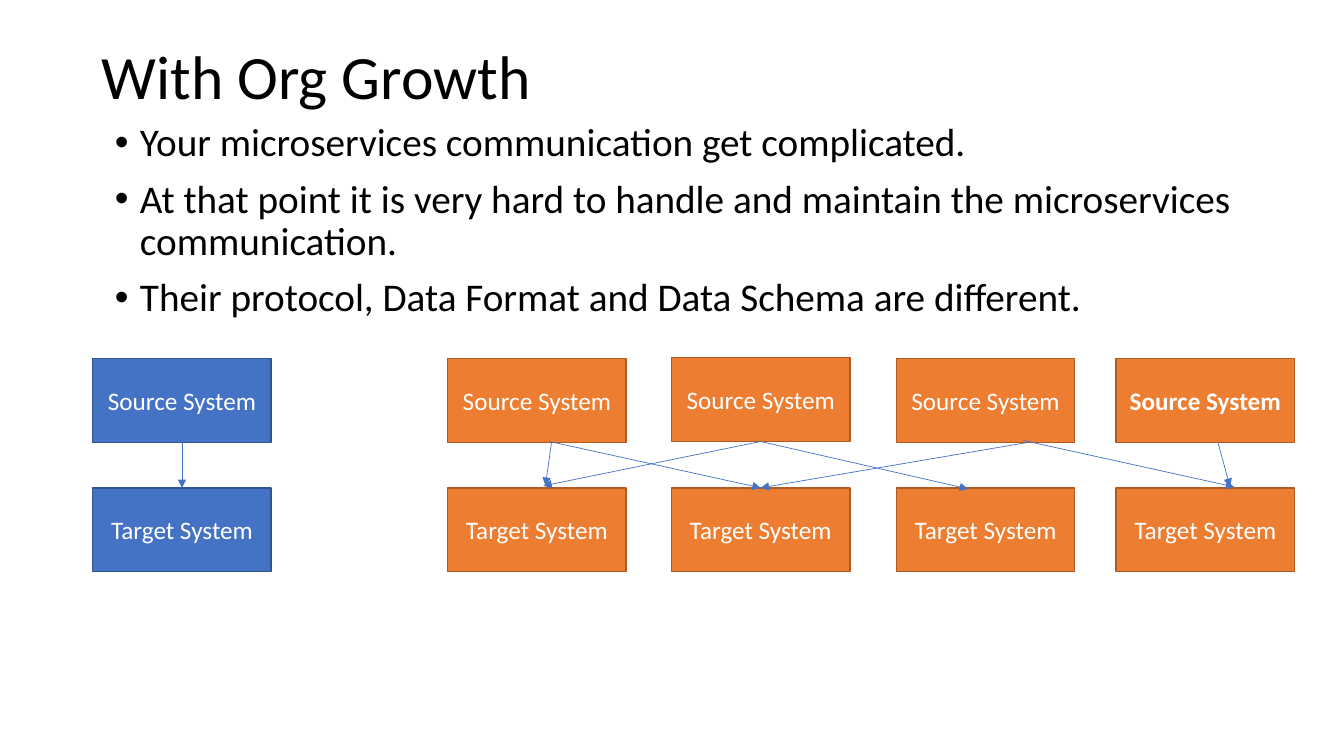
"""Build the slide on how microservice links grow with an organisation."""
from lxml import etree
from pptx import Presentation
from pptx.dml.color import RGBColor
from pptx.enum.shapes import MSO_CONNECTOR, MSO_SHAPE
from pptx.enum.text import MSO_ANCHOR, PP_ALIGN
from pptx.oxml.ns import qn
from pptx.util import Inches, Pt

RECT = MSO_SHAPE.RECTANGLE
STRAIGHT = MSO_CONNECTOR.STRAIGHT
MIDDLE, TOP = MSO_ANCHOR.MIDDLE, MSO_ANCHOR.TOP
CENTER, LEFT = PP_ALIGN.CENTER, PP_ALIGN.LEFT
TOP_SIDE, BOTTOM_SIDE = 0, 2

THEME = {
    "font": "Calibri",
    "ink": "000000",
    "white": "FFFFFF",
    "blue": ("4472C4", "325491"),
    "orange": ("ED7D31", "AF5C24"),
    "arrow": "4472C4",
    "title": 44,
    "body": 28,
    "label": 18,
}


def write(shape, lines, size, color, anchor=MIDDLE, align=LEFT, bold=None):
    frame = shape.text_frame
    frame.word_wrap = True
    frame.vertical_anchor = anchor
    frame.text = "\n".join(lines)
    for para in frame.paragraphs:
        para.alignment = align
        look = {"name": THEME["font"], "size": Pt(THEME[size]), "bold": bold}
        for key, value in look.items():
            setattr(para.runs[0].font, key, value)
        para.runs[0].font.color.rgb = RGBColor.from_string(THEME[color])
    return frame.paragraphs


def add_box(left, top, label, tone, bold=None):
    box = slide.shapes.add_shape(
        RECT, Inches(left), Inches(top), Inches(1.77), Inches(0.83))
    box.shadow.inherit = False
    fill, edge = THEME[tone]
    box.fill.solid()
    box.fill.fore_color.rgb = RGBColor.from_string(fill)
    box.line.color.rgb = RGBColor.from_string(edge)
    box.line.width = Pt(1)
    write(box, [label], "label", "white", align=CENTER, bold=bold)
    return box


deck = Presentation()
deck.slide_width, deck.slide_height = Inches(13.33), Inches(7.5)
slide = deck.slides.add_slide(deck.slide_layouts[6])

title = slide.shapes.add_textbox(
    Inches(0.91), Inches(0.06), Inches(11.5), Inches(1.45))
write(title, ["With Org Growth"], "title", "ink")[0].line_spacing = 0.9

body = slide.shapes.add_textbox(
    Inches(1.04), Inches(1.17), Inches(11.5), Inches(4.76))
points = [
    "Your microservices communication get complicated.",
    "At that point it is very hard to handle and maintain the microservices communication.",
    "Their protocol, Data Format and Data Schema are different.",
]
for para in write(body, points, "body", "ink", TOP):
    para.line_spacing = 0.9
    para.space_before = Pt(10)
    props = para._p.get_or_add_pPr()
    props.set("marL", str(Inches(0.25)))
    props.set("indent", str(-Inches(0.25)))
    etree.SubElement(props, qn("a:buFont")).set("typeface", "Arial")
    etree.SubElement(props, qn("a:buChar")).set("char", "•")

columns = [
    (0.92, 3.56, "blue", None),
    (4.44, 3.56, "orange", None),
    (6.66, 3.55, "orange", None),
    (8.89, 3.56, "orange", None),
    (11.07, 3.56, "orange", True),
]
sources, targets = [], []
for left, top, tone, bold in columns:
    sources.append(add_box(left, top, "Source System", tone, bold))
    targets.append(add_box(left, 4.84, "Target System", tone))

links = [
    ((1.8, 4.39), (1.8, 4.84), sources[0], targets[0]),
    ((5.45, 4.38), (7.55, 4.84), None, targets[2]),
    ((7.51, 4.39), (9.6, 4.85), sources[2], None),
    ((10.15, 4.37), (12.24, 4.83), None, None),
    ((12.08, 4.39), (12.2, 4.83), None, None),
    ((10.19, 4.39), (7.57, 4.83), None, targets[2]),
    ((7.57, 4.4), (5.39, 4.82), sources[2], None),
    ((5.47, 4.39), (5.41, 4.82), None, None),
]
for start, end, source, target in links:
    arrow = slide.shapes.add_connector(
        STRAIGHT, *[Inches(value) for value in start + end])
    if source:
        arrow.begin_connect(source, BOTTOM_SIDE)
    if target:
        arrow.end_connect(target, TOP_SIDE)
    arrow.line.color.rgb = RGBColor.from_string(THEME["arrow"])
    arrow.line.width = Pt(0.5)
    line = arrow.line._get_or_add_ln()
    etree.SubElement(line, qn("a:tailEnd")).set("type", "triangle")
    etree.SubElement(arrow._element.spPr, qn("a:effectLst"))

deck.save("out.pptx")
